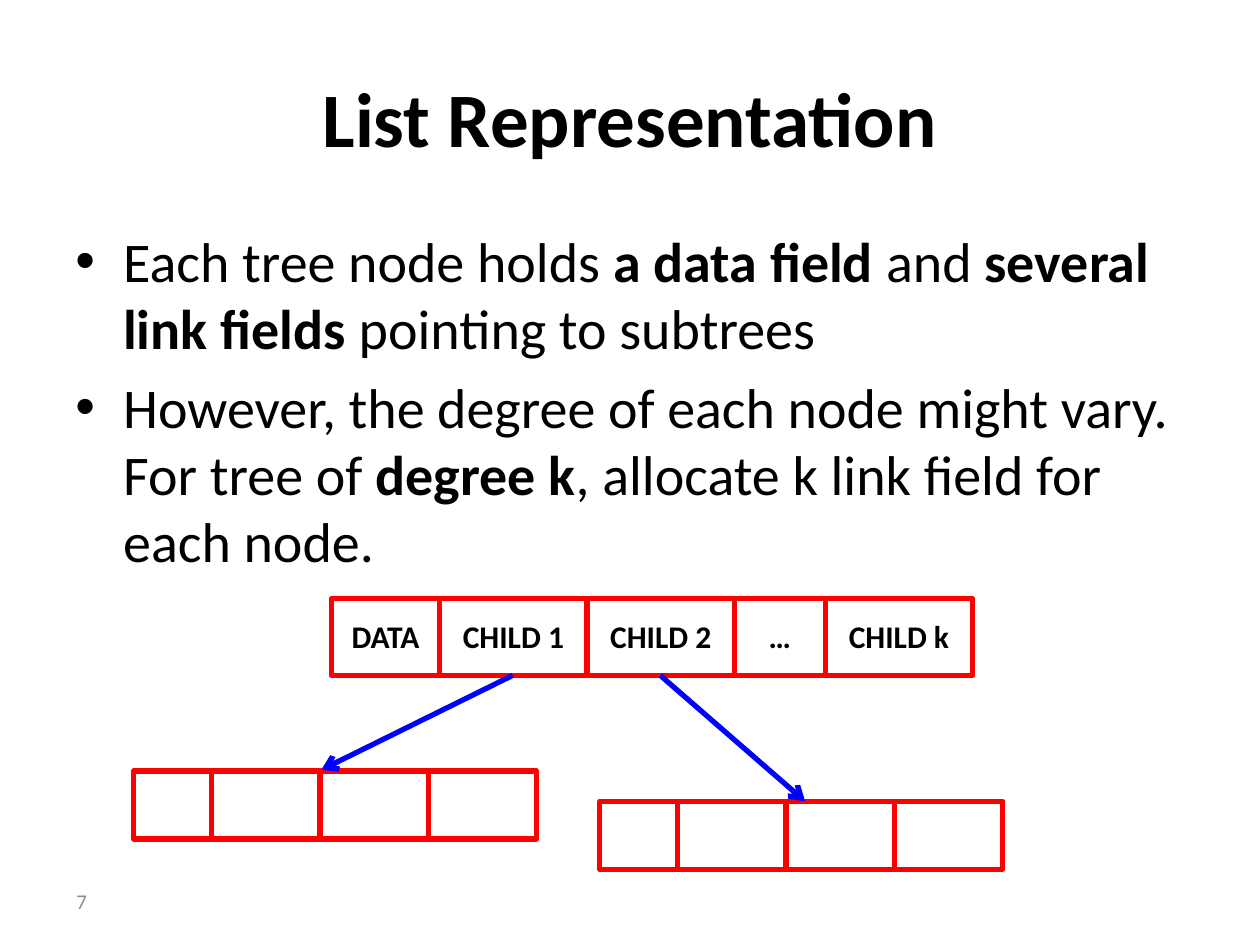
from dataclasses import dataclass

from lxml.etree import SubElement
from pptx import Presentation
from pptx.dml.color import RGBColor
from pptx.enum.shapes import MSO_CONNECTOR, MSO_SHAPE
from pptx.enum.text import MSO_ANCHOR as Anchor, PP_ALIGN as Align
from pptx.oxml.ns import qn
from pptx.util import Inches, Pt

FONT = "Calibri"
BLACK, GREY, RED, BLUE = "000000", "8C8C8C", "FF0000", "0000FF"


@dataclass
class Node:
    """A row of adjoining fields that stands for one tree node."""
    left: float
    top: float
    height: float
    widths: list[float]
    labels: list[str]


@dataclass
class Link:
    """An arrow from a child field to a subtree."""
    start: tuple[float, float]
    end: tuple[float, float]


CHILD_WIDTHS = [0.62, 0.86, 0.86, 0.86]
NODES = [
    Node(2.63, 4.75, 0.61, [0.86, 1.17, 1.17, 0.72, 1.17],
         ["DATA", "CHILD 1", "CHILD 2", "…", "CHILD k"]),
    Node(1.06, 6.12, 0.54, CHILD_WIDTHS, [""] * 4),
    Node(4.76, 6.36, 0.54, CHILD_WIDTHS, [""] * 4),
]
LINKS = [Link((4.07, 5.36), (2.55, 6.11)), Link((5.24, 5.36), (6.39, 6.36))]
POINTS = [
    [("Each tree node holds ", False), ("a data field ", True), ("and ", False),
     ("several link fields", True), (" pointing to subtrees", False)],
    [("However, the degree of each node might vary. For tree of ", False),
     ("degree k", True), (", allocate k link field for each node.", False)],
]


def rgb(value: str) -> RGBColor:
    """Turn a hex string into a colour."""
    return RGBColor.from_string(value)


def add_run(paragraph, text: str, size: float, bold: bool = False,
            color: str = BLACK) -> None:
    """Append one formatted run."""
    run = paragraph.add_run()
    run.text = text
    run.font.name, run.font.size, run.font.bold = FONT, Pt(size), bold
    run.font.color.rgb = rgb(color)


def add_frame(slide, left: float, top: float, width: float, height: float):
    """Add a wrapping text box and return its text frame."""
    box = slide.shapes.add_textbox(Inches(left), Inches(top),
                                   Inches(width), Inches(height))
    box.text_frame.word_wrap = True
    return box.text_frame


def set_title(slide, text: str) -> None:
    """Place and format the title placeholder."""
    title = slide.shapes.title
    title.left, title.top = Inches(0.5), Inches(0.3)
    title.width, title.height = Inches(9), Inches(1.25)
    frame = title.text_frame
    frame.vertical_anchor = Anchor.MIDDLE
    frame.paragraphs[0].alignment = Align.CENTER
    add_run(frame.paragraphs[0], text, 44, bold=True)


def add_points(slide) -> None:
    """Write the bulleted points."""
    frame = add_frame(slide, 0.5, 1.75, 9, 4.95)
    for index, point in enumerate(POINTS):
        paragraph = frame.add_paragraph() if index else frame.paragraphs[0]
        paragraph.space_before = Pt(6.4)
        properties = paragraph._p.get_or_add_pPr()
        properties.set("marL", str(Inches(0.38)))
        properties.set("indent", str(Inches(-0.38)))
        SubElement(properties, qn("a:buFont"), typeface="Arial")
        SubElement(properties, qn("a:buChar"), char="•")
        for text, bold in point:
            add_run(paragraph, text, 32, bold)


def add_field(slide, left: float, node: Node, width: float, label: str) -> None:
    """Draw one field of a node, with its label if it has one."""
    field = slide.shapes.add_shape(MSO_SHAPE.RECTANGLE, Inches(left), Inches(node.top),
                                   Inches(width), Inches(node.height))
    field.shadow.inherit = False
    field.fill.background()
    field.line.color.rgb = rgb(RED)
    field.line.width = Pt(3)
    if label:
        frame = field.text_frame
        frame.word_wrap = True
        frame.vertical_anchor = Anchor.TOP
        frame.margin_left = frame.margin_right = Inches(0.1)
        frame.margin_top = frame.margin_bottom = Inches(0.15)
        frame.paragraphs[0].alignment = Align.CENTER
        add_run(frame.paragraphs[0], label, 18, bold=True)


def add_node(slide, node: Node) -> None:
    """Draw the fields of a node side by side."""
    left = node.left
    for width, label in zip(node.widths, node.labels):
        add_field(slide, left, node, width, label)
        left += width


def add_link(slide, link: Link) -> None:
    """Draw an arrow to a subtree."""
    ends = [Inches(value) for value in (*link.start, *link.end)]
    arrow = slide.shapes.add_connector(MSO_CONNECTOR.STRAIGHT, *ends)
    arrow.line.color.rgb = rgb(BLUE)
    arrow.line.width = Pt(3)
    SubElement(arrow.line._get_or_add_ln(), qn("a:tailEnd"), type="arrow")
    SubElement(arrow._element.spPr, qn("a:effectLst"))


def add_page_number(slide, number: str) -> None:
    """Write the page number at the lower left."""
    frame = add_frame(slide, -1.54, 6.95, 2.33, 0.4)
    frame.vertical_anchor = Anchor.MIDDLE
    frame.paragraphs[0].alignment = Align.RIGHT
    add_run(frame.paragraphs[0], number, 12, color=GREY)


def main() -> None:
    """Build and save the slide."""
    deck = Presentation()
    deck.slide_width, deck.slide_height = Inches(10), Inches(7.5)
    slide = deck.slides.add_slide(deck.slide_layouts[5])
    set_title(slide, "List Representation")
    add_points(slide)
    for node in NODES:
        add_node(slide, node)
    for link in LINKS:
        add_link(slide, link)
    add_page_number(slide, "7")
    deck.save("out.pptx")


main()
